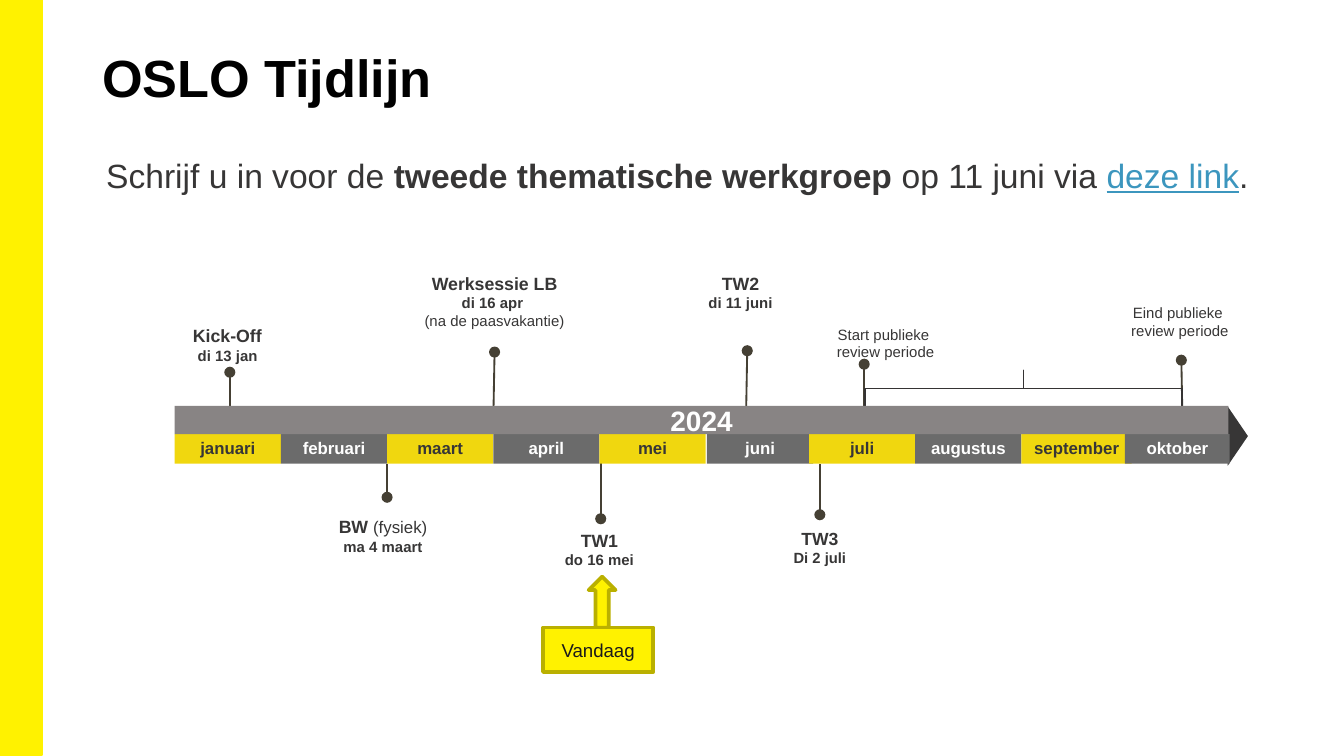
from lxml import etree
from pptx import Presentation
from pptx import util as u
from pptx.dml import color
from pptx.enum import shapes, text
from pptx.oxml import ns

YELLOW, OLIVE, GOLD = "FFF200", "BAB000", "F0D70F"
GREY, DARK, PIN, WHITE = "6B6B6B", "373636", "454034", "FFFFFF"
KIND = shapes.MSO_SHAPE
MONTHS = [("januari", 0, 0.79), ("februari", 0.79, 0.79), ("maart", 1.58, 0.79),
          ("april", 2.37, 0.79), ("mei", 3.16, 0.79), ("juni", 3.96, 0.79),
          ("juli", 4.72, 0.79), ("augustus", 5.51, 0.79),
          ("september", 6.3, 0.82), ("oktober", 7.07, 0.78)]
PINS = [(0.41, -0.25, 0.41, 0.15), (2.38, -0.4, 2.37, 0.14),
        (4.26, -0.41, 4.25, 0.13), (5.13, -0.31, 5.13, 0.23),
        (7.49, -0.34, 7.5, 0.21), (1.58, 0.68, 1.58, 0.43),
        (3.17, 0.84, 3.17, 0.42), (4.8, 0.81, 4.8, 0.43)]
LABELS = [
    (-0.13, -0.6, 1.08, 0.37, [[("Kick-Off\u00a0".replace("\u00a0", " "), 9.5, True)],
                               [("di 13 jan ", 8, True)]]),
    (1.79, -0.99, 1.18, 0.6, [[("Werksessie LB", 9.5, True)], [("di 16 apr ", 8, True)],
                              [("(na de paasvakantie)", 8, False)]]),
    (3.67, -0.99, 1.08, 0.37, [[("TW2", 9.5, True)], [("di 11 juni", 8, True)]]),
    (4.75, -0.6, 1.08, 0.34, [[("Start publieke \vreview periode", 8, False)]]),
    (6.94, -0.76, 1.08, 0.37, [[("Eind publieke \vreview periode", 8, False)]]),
    (1.01, 0.82, 1.08, 0.81, [[("BW ", 9.5, True), ("(fysiek)", 9, False)],
                              [("ma 4 maart", 8, True)]]),
    (2.62, 0.92, 1.08, 0.61, [[("TW1", 9.5, True)], [("do 16 mei", 8, True)]]),
    (4.26, 0.91, 1.08, 0.34, [[("TW3", 9.4, True)], [("Di 2 juli", 7.9, True)]]),
]


def rgb(value):
    return color.RGBColor.from_string(value)


def set_font(font, size, fill, bold=False):
    font.name, font.size, font.bold = "Arial", u.Pt(size), bold
    font.color.rgb = rgb(fill)


def set_insets(tf, left, top, right, bottom):
    tf.margin_left, tf.margin_right = u.Inches(left), u.Inches(right)
    tf.margin_top, tf.margin_bottom = u.Inches(top), u.Inches(bottom)


def add_shape(slide, kind, box, fill=None, line=None, width=1):
    sp = slide.shapes.add_shape(kind, *map(u.Inches, box))
    sp.shadow.inherit = False
    if fill:
        sp.fill.solid()
        sp.fill.fore_color.rgb = rgb(fill)
    else:
        sp.fill.background()
    if line:
        sp.line.color.rgb = rgb(line)
        sp.line.width = u.Pt(width)
    else:
        sp.line.fill.background()
    return sp


def write_centred(sp, words, size, fill, bold, insets=(0.1, 0.05, 0.1, 0.05)):
    tf = sp.text_frame
    tf.word_wrap = True
    tf.vertical_anchor = text.MSO_ANCHOR.MIDDLE
    set_insets(tf, *insets)
    p = tf.paragraphs[0]
    p.text, p.alignment = words, text.PP_ALIGN.CENTER
    set_font(p.font, size, fill, bold)


def add_text(slide, box, insets):
    tf = slide.shapes.add_textbox(*map(u.Inches, box)).text_frame
    tf.word_wrap = True
    set_insets(tf, *insets)
    return tf


def add_label(slide, box, lines):
    tf = add_text(slide, box, (0, 0, 0, 0))
    for i, runs in enumerate(lines):
        p = tf.add_paragraph() if i else tf.paragraphs[0]
        p.alignment = text.PP_ALIGN.CENTER
        if len(runs) == 1:
            words, size, bold = runs[0]
            p.text = words
            set_font(p.font, size, DARK, bold)
            continue
        for words, size, bold in runs:
            r = p.add_run()
            r.text = words
            set_font(r.font, size, DARK, bold)


def add_pin(slide, ends):
    line = slide.shapes.add_connector(
        shapes.MSO_CONNECTOR.STRAIGHT, *map(u.Inches, ends))
    line.line.color.rgb = rgb(PIN)
    line.line.width = u.Pt(1)
    etree.SubElement(line.line._get_or_add_ln(), ns.qn("a:headEnd"), type="oval")
    etree.SubElement(line._element.spPr, ns.qn("a:effectLst"))


def add_timeline(slide, left, top):
    for x, dot, foot, bar in PINS:
        add_pin(slide, (left + x, top + dot, left + foot, top + bar))
    head = add_shape(slide, KIND.ISOSCELES_TRIANGLE,
                     (left + 7.69, top + 0.15, 0.44, 0.15), DARK)
    head.rotation = 90
    for i, (month, x, width) in enumerate(MONTHS):
        fill, ink = (GREY, WHITE) if i % 2 else (GOLD, DARK)
        sp = add_shape(slide, KIND.RECTANGLE,
                       (left + x, top + 0.21, width, 0.22), fill)
        write_centred(sp, month, 9, ink, True, (0.08, 0.08, 0.08, 0.1))
    brace = add_shape(slide, KIND.LEFT_BRACE,
                      (left + 6.18, top - 1.31, 0.27, 2.36), None, "353333", 0.75)
    brace.rotation = 90
    brace.adjustments[0], brace.adjustments[1] = 0, 0.5
    year = add_shape(slide, KIND.RECTANGLE, (left, top, 7.84, 0.21), "888484")
    write_centred(year, "2024", 15, WHITE, True)
    for x, y, width, height, lines in LABELS:
        add_label(slide, (left + x, top + y, width, height), lines)


def add_today(slide, left, top):
    arrow = add_shape(slide, KIND.DOWN_ARROW,
                      (left + 0.34, top, 0.2, 0.38), YELLOW, OLIVE, 2)
    arrow.rotation = 180
    sp = add_shape(slide, KIND.FLOWCHART_PROCESS,
                   (left, top + 0.38, 0.82, 0.33), YELLOW, OLIVE, 2)
    write_centred(sp, "Vandaag", 10, "1B1A1A", False)


def add_heading(slide, left, top):
    insets = (0.07, 0.04, 0.07, 0.04)
    p = add_text(slide, (left, top, 8.62, 0.81), insets).paragraphs[0]
    p.text = "OSLO Tijdlijn"
    set_font(p.font, 28, "000000", True)
    p = add_text(slide, (left + 0.03, top + 0.81, 9.01, 0.54), insets).paragraphs[0]
    set_font(p.font, 18, DARK)
    for words in ("Schrijf u in voor de ", "tweede thematische werkgroep",
                  " op 11 juni via ", "deze link", "."):
        r = p.add_run()
        r.text = words
        if words.startswith("tweede"):
            r.font.bold = True
        elif words == "deze link":
            r.font.underline = True
            r.font.color.rgb = rgb("3C96BE")


def main():
    prs = Presentation()
    prs.slide_width, prs.slide_height = u.Inches(10), u.Inches(10 * 9 / 16)
    slide = prs.slides.add_slide(prs.slide_layouts[6])
    add_shape(slide, KIND.RECTANGLE, (0, 0, 0.31, 5.62), YELLOW, YELLOW)
    add_heading(slide, 0.69, 0.3)
    add_timeline(slide, 1.3, 3.02)
    add_today(slide, 4.04, 4.29)
    prs.save("out.pptx")


if __name__ == "__main__":
    main()
